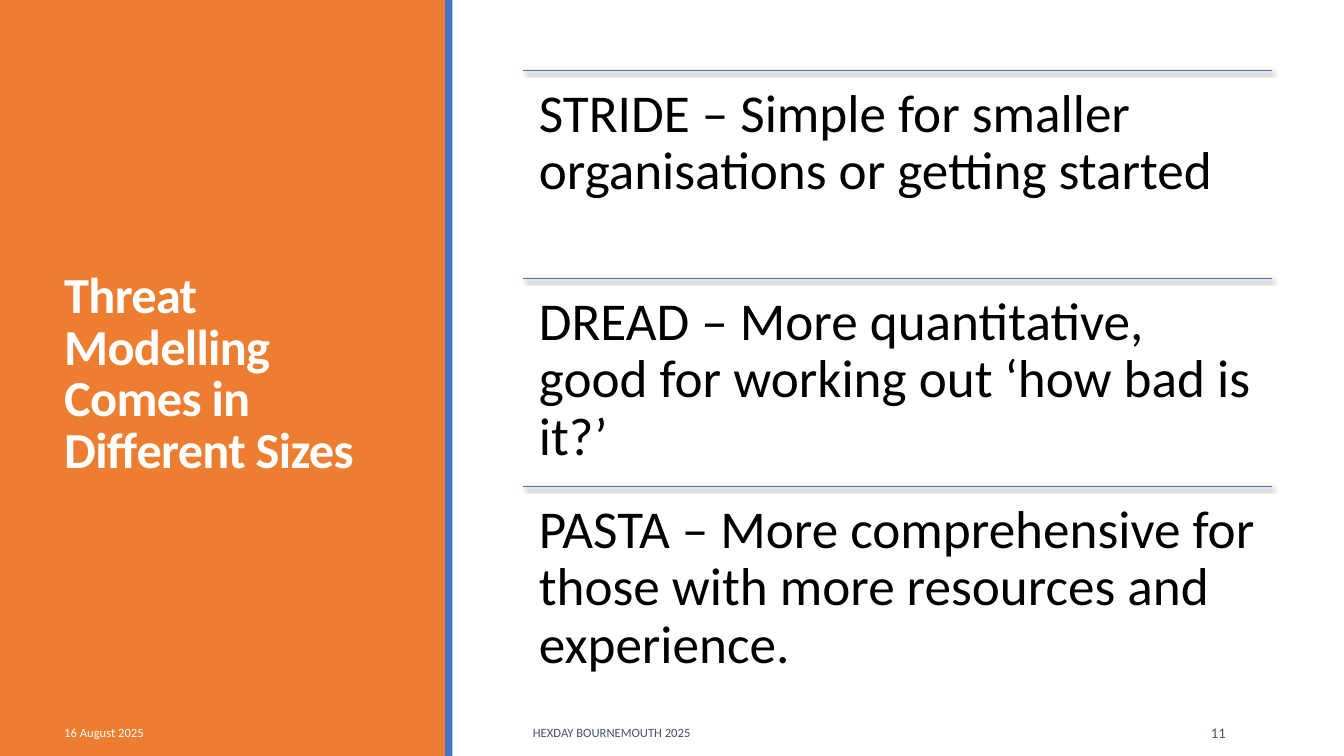
from pptx import Presentation
from pptx.dml.color import RGBColor
from pptx.enum.shapes import MSO_CONNECTOR as Connector, MSO_SHAPE as Shape
from pptx.enum.text import MSO_ANCHOR as Anchor, PP_ALIGN as Align
from pptx.oxml import parse_xml
from pptx.oxml.ns import nsdecls
from pptx.util import Cm, Pt

ORANGE, BLUE, SLATE = "ED7D31", "4472C4", "44546A"
WHITE, BLACK = "FFFFFF", "000000"
PAGE_WIDTH, PAGE_HEIGHT = 33.87, 19.05
SHADOW = (
    f'<a:effectLst {nsdecls("a")}>'
    '<a:outerShdw blurRad="38100" dist="25400" dir="2700000" rotWithShape="0">'
    '<a:srgbClr val="000000"><a:alpha val="60000"/></a:srgbClr>'
    '</a:outerShdw></a:effectLst>'
)


def colour(value):
    return RGBColor.from_string(value)


class SlideBuilder:
    """Holds the shared style and draws elements on the current slide."""

    font = "Calibri"

    def __init__(self, page):
        self.page = page

    def panel(self, left, top, width, height, fill):
        box = self.page.shapes.add_shape(
            Shape.RECTANGLE, Cm(left), Cm(top), Cm(width), Cm(height))
        box.shadow.inherit = False
        box.fill.solid()
        box.fill.fore_color.rgb = colour(fill)
        box.line.fill.background()

    def rule(self, left, top, width):
        line = self.page.shapes.add_connector(
            Connector.STRAIGHT, Cm(left), Cm(top), Cm(left + width), Cm(top))
        line.line.color.rgb = colour(BLUE)
        line.line.width = Pt(1)
        properties = line._element.spPr
        properties.append(parse_xml(SHADOW))

    def text(self, words, left, top, width, height, *, size, ink,
             bold=False, align=Align.LEFT, anchor=Anchor.MIDDLE,
             leading=1.0, after=0, tracking=None, inset=(0.25, 0.13)):
        box = self.page.shapes.add_textbox(
            Cm(left), Cm(top), Cm(width), Cm(height))
        frame = box.text_frame
        frame.word_wrap = True
        frame.vertical_anchor = anchor
        frame.margin_left = frame.margin_right = Cm(inset[0])
        frame.margin_top = frame.margin_bottom = Cm(inset[1])
        para = frame.paragraphs[0]
        para.alignment = align
        para.line_spacing = leading
        para.space_after = Pt(after)
        span = para.add_run()
        span.text = words
        span.font.name = self.font
        span.font.size = Pt(size)
        span.font.bold = bold
        span.font.color.rgb = colour(ink)
        if tracking is not None:
            span.font._element.set("spc", str(round(tracking * 100)))


def main():
    deck = Presentation()
    deck.slide_width, deck.slide_height = Cm(PAGE_WIDTH), Cm(PAGE_HEIGHT)
    builder = SlideBuilder(deck.slides.add_slide(deck.slide_layouts[6]))

    builder.panel(0, 0, 11.25, PAGE_HEIGHT, ORANGE)
    builder.text("Threat Modelling Comes in Different Sizes",
                 1.37, 1.45, 8.56, 16.03, size=36, ink=WHITE, bold=True,
                 leading=0.85, tracking=-0.5)
    builder.panel(11.22, 0, 0.18, PAGE_HEIGHT, BLUE)

    footers = [
        ("16 August 2025", 1.37, 4.83, 9, WHITE, Align.LEFT),
        ("HEXDAY BOURNEMOUTH 2025", 13.18, 14.17, 9, SLATE, Align.LEFT),
        ("11", 28.12, 3.02, 10.5, SLATE, Align.RIGHT),
    ]
    for words, left, width, size, ink, align in footers:
        builder.text(words, left, 17.95, width, 1.02,
                     size=size, ink=ink, align=align, after=6)

    models = [
        "STRIDE – Simple for smaller organisations or getting started",
        "DREAD – More quantitative, good for working out ‘how bad is it?’",
        "PASTA – More comprehensive for those with more resources and experience.",
    ]
    left, first_top, width, row_height = 13.18, 1.78, 18.87, 5.24
    for index, words in enumerate(models):
        top = first_top + index * row_height
        builder.rule(left, top, width)
        builder.text(words, left, top, width, row_height, size=38, ink=BLACK,
                     anchor=Anchor.TOP, leading=0.9, after=13.3,
                     inset=(0.4, 0.4))

    deck.save("out.pptx")


if __name__ == "__main__":
    main()
